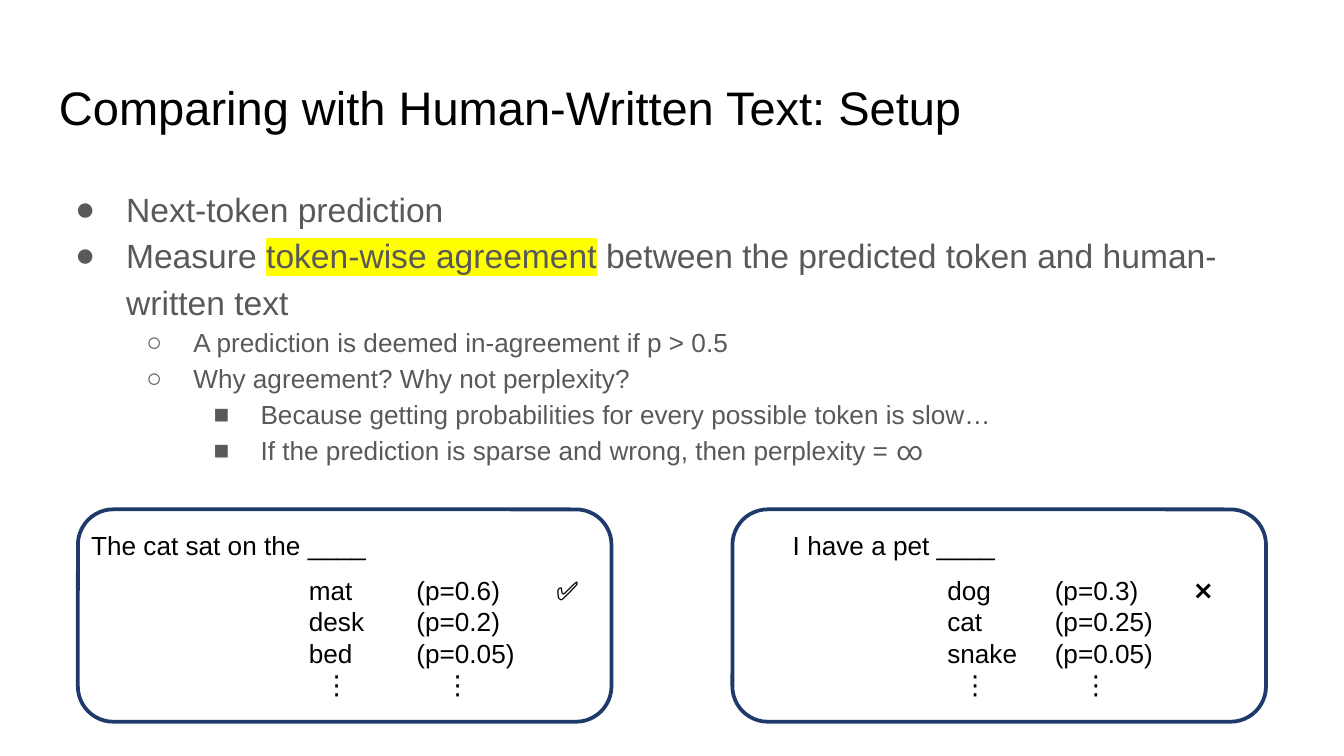
import pptx
import pptx.dml.color
import pptx.enum.shapes
import pptx.enum.text
import pptx.oxml
import pptx.oxml.ns
import pptx.util

COLORS = {"ink": "000000", "body": "595959", "frame": "1D3A6B", "mark": "FFFF00"}
COLUMNS, ROWS = 100, 56.25


def rgb(name):
    return pptx.dml.color.RGBColor.from_string(COLORS[name])


def add_xml(parent, tag, content="", **attrs):
    values = " ".join(f'{key}="{value}"' for key, value in attrs.items())
    ns = pptx.oxml.ns.nsdecls("a")
    parent.append(pptx.oxml.parse_xml(f"<a:{tag} {ns} {values}>{content}</a:{tag}>"))


def color_xml(name):
    return f'<a:srgbClr val="{COLORS[name]}"/>'


def add_run(p, text, size=14, color="ink", font="Arial", highlight=None):
    r = p.add_run()
    r.text = text
    r.font.size = pptx.util.Pt(size)
    r.font.color.rgb = rgb(color)
    if highlight:
        add_xml(r.font._element, "highlight", color_xml(highlight))
    r.font.name = font


def indent(p, left, hanging=0):
    pPr = p._p.get_or_add_pPr()
    pPr.set("marL", str(pptx.util.Inches(left)))
    pPr.set("indent", str(pptx.util.Inches(-hanging)))
    return pPr


class Deck:
    """Places elements on a grid of 100 columns by 56.25 rows."""

    bullets = "●○■"
    sizes = (18, 14, 14)
    hanging = (0.38, 0.35, 0.35)

    def __init__(self):
        self.prs = pptx.Presentation()
        self.prs.slide_width = pptx.util.Inches(10)
        self.prs.slide_height = pptx.util.Inches(10 * 9 / 16)
        self.s = self.prs.slides.add_slide(self.prs.slide_layouts[6])

    def area(self, col, row, cols, rows):
        dx, dy = self.prs.slide_width / COLUMNS, self.prs.slide_height / ROWS
        return [round(v) for v in (col * dx, row * dy, cols * dx, rows * dy)]

    def block(self, *cells):
        """Wrapping text frame with equal margins on all sides."""
        tf = self.s.shapes.add_textbox(*self.area(*cells)).text_frame
        tf.word_wrap = True
        tf.margin_top = tf.margin_bottom = pptx.util.Inches(0.1)
        return tf

    def title(self, text, *cells):
        add_run(self.block(*cells).paragraphs[0], text, size=25.2)

    def outline(self, items, *cells):
        """Bulleted list; each item is a level and its (text, format) runs."""
        tf = self.block(*cells)
        for i, (level, runs) in enumerate(items):
            p = tf.add_paragraph() if i else tf.paragraphs[0]
            p.level = level
            p.line_spacing = 1.15
            pPr = indent(p, 0.5 * (level + 1), self.hanging[level])
            add_xml(pPr, "buClr", color_xml("body"))
            add_xml(pPr, "buFont", typeface="Arial")
            add_xml(pPr, "buChar", char=self.bullets[level])
            for text, style in runs:
                add_run(p, text, size=self.sizes[level], color="body", **style)

    def label(self, lines, *cells, dots=None):
        """Unwrapped lines, with a closing ⋮ indented by dots inches if given."""
        tf = self.s.shapes.add_textbox(*self.area(*cells)).text_frame
        tf.word_wrap = False
        tf.auto_size = pptx.enum.text.MSO_AUTO_SIZE.SHAPE_TO_FIT_TEXT
        for i, line in enumerate(lines):
            p = tf.add_paragraph() if i else tf.paragraphs[0]
            add_run(p, line)
        if dots is not None:
            p = tf.add_paragraph()
            indent(p, dots)
            add_run(p, "⋮")

    def frame(self, *cells):
        shape = pptx.enum.shapes.MSO_SHAPE.ROUNDED_RECTANGLE
        sp = self.s.shapes.add_shape(shape, *self.area(*cells))
        sp.shadow.inherit = False
        sp.fill.background()
        sp.line.color.rgb = rgb("frame")
        sp.line.width = pptx.util.Pt(2)

    def example(self, col, prompt, prompt_at, words, words_at, odds, verdict):
        """Framed prompt with candidate tokens, probabilities and a verdict."""
        row = 42.25
        self.label([prompt], *prompt_at, 3.4)
        self.label(words, words_at, row, 7.3, 10.4, dots=0.11)
        self.label([f"(p={p})" for p in odds], words_at + 8, row, 9.4, 10.4, dots=0.21)
        self.label([verdict], words_at + 18.4, row, 4.7, 3.4)
        self.frame(col, 37.9, 39.7, 15.8)


def main():
    deck = Deck()
    deck.title("Comparing with Human-Written Text: Setup", 3.4, 4.87, 93.2, 6.3)
    deck.outline([
        (0, [("Next-token prediction", {})]),
        (0, [("Measure ", {}),
             ("token-wise agreement", {"highlight": "mark"}),
             (" between the predicted token and human-written text", {})]),
        (1, [("A prediction is deemed in-agreement if p > 0.5", {})]),
        (1, [("Why agreement? Why not perplexity?", {})]),
        (2, [("Because getting probabilities for every possible token is slow…", {})]),
        (2, [("If the prediction is sparse and wrong, then perplexity = ", {}),
             ("∞", {"font": "Roboto"})]),
    ], 3.4, 12.6, 93.2, 28.5)
    deck.example(5.8, "The cat sat on the ____", (5.8, 38.9, 22.6),
                 ["mat", "desk", "bed"], 22, ["0.6", "0.2", "0.05"], "✅")
    deck.example(54.5, "I have a pet ____", (58, 38.9, 17.1),
                 ["dog", "cat", "snake"], 69.5, ["0.3", "0.25", "0.05"], "❌")
    deck.prs.save("out.pptx")


if __name__ == "__main__":
    main()
